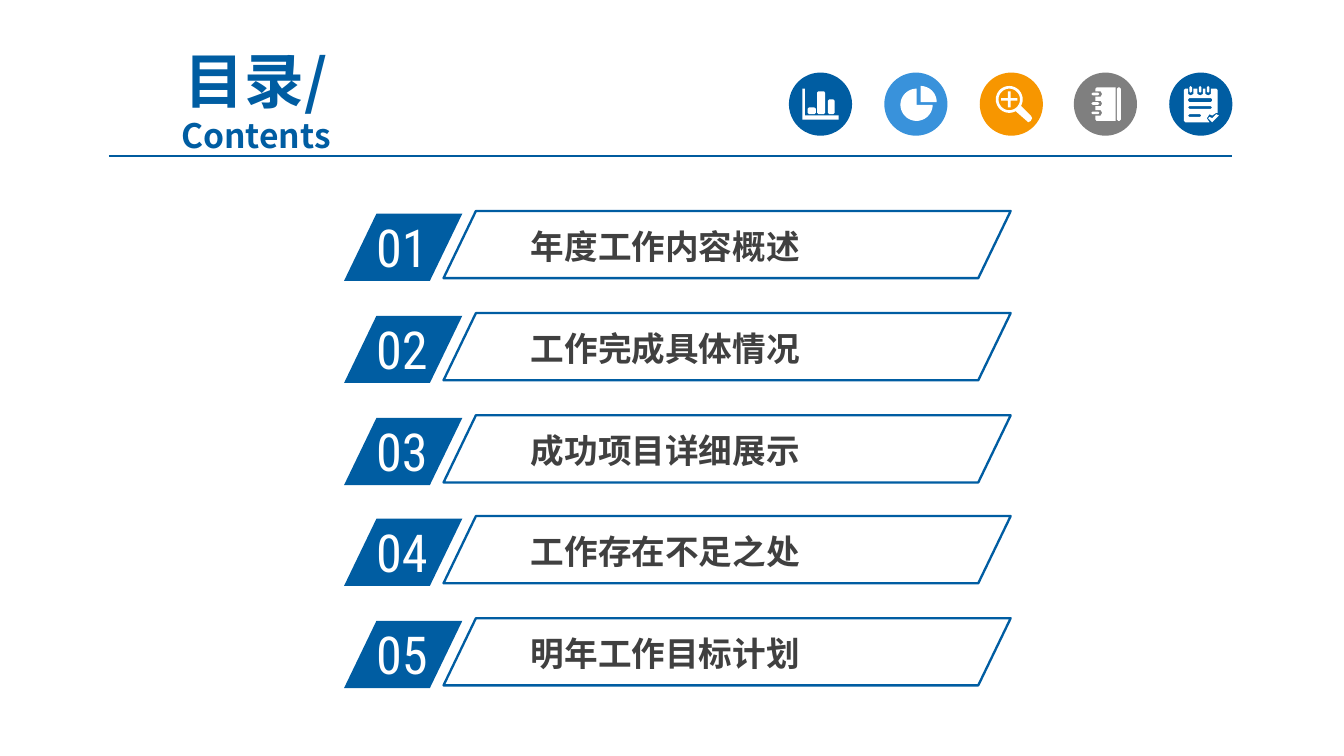
import dataclasses
import math
import typing

import pptx
import pptx.dml.color
import pptx.enum.shapes
import pptx.enum.text
import pptx.oxml.ns
import pptx.util
from lxml import etree

PX = 9144
COLORS = {
    "navy": "005DA2",
    "rule": "005B9E",
    "sky": "3992DB",
    "orange": "F79600",
    "gray": "7F7F7F",
    "ink": "404040",
    "white": "FFFFFF",
}
CJK = "Noto Sans CJK SC"
CONDENSED = "Roboto Condensed"
SHAPES = pptx.enum.shapes.MSO_SHAPE
TEXT = pptx.enum.text

Points = list[tuple[float, float]]


@dataclasses.dataclass
class Box:
    left: int
    top: int
    width: int
    height: int


@dataclasses.dataclass
class Style:
    size: int
    font: str
    color: str
    bold: bool = False


@dataclasses.dataclass
class Badge:
    color: str
    contours: list[Points]


def px(value: float) -> pptx.util.Emu:
    return pptx.util.Emu(round(value * PX))


def rgb(name: str) -> pptx.dml.color.RGBColor:
    return pptx.dml.color.RGBColor.from_string(COLORS[name])


def assign(target: typing.Any, values: dict[str, typing.Any]) -> None:
    for name, value in values.items():
        setattr(target, name, value)


def place(box: Box) -> list[pptx.util.Emu]:
    return [px(value) for value in dataclasses.astuple(box)]


def write(para: typing.Any, text: str, style: Style) -> None:
    span = para.add_run()
    span.text = text
    assign(span.font, {"name": style.font, "size": pptx.util.Pt(style.size), "bold": style.bold})
    span.font.color.rgb = rgb(style.color)
    east_asian = etree.SubElement(span.font._element, pptx.oxml.ns.qn("a:ea"))
    east_asian.set("typeface", style.font)


def add_label(page: typing.Any, box: Box, text: str, style: Style, insets: tuple[int, int]) -> None:
    frame = page.shapes.add_textbox(*place(box)).text_frame
    side, end = (px(inset) for inset in insets)
    assign(frame, {
        "word_wrap": True,
        "auto_size": TEXT.MSO_AUTO_SIZE.SHAPE_TO_FIT_TEXT,
        "margin_left": side, "margin_right": side,
        "margin_top": end, "margin_bottom": end,
    })
    write(frame.paragraphs[0], text, style)


def paint(shape: typing.Any, fill: str | None, line: str | None = None) -> None:
    shape.shadow.inherit = False
    for part, color in ((shape.fill, fill), (shape.line.fill, line)):
        if color:
            part.solid()
            part.fore_color.rgb = rgb(color)
        else:
            part.background()


def add_slant(page: typing.Any, box: Box, fill: str | None, line: str | None = None) -> None:
    slant = page.shapes.add_shape(SHAPES.PARALLELOGRAM, *place(box))
    slant.adjustments[0] = 0.482
    paint(slant, fill, line)
    if line:
        slant.line.width = pptx.util.Pt(1.25)


def bar(left: int, top: int, right: int, bottom: int) -> Points:
    return [(left + 1, top), (right - 1, top), (right, top + 1), (right, bottom - 1),
            (right - 1, bottom), (left + 1, bottom), (left, bottom - 1), (left, top + 1)]


def hole(contour: Points) -> Points:
    return contour[::-1]


def arc(x: int, y: int, radius: int, start: int = 0, sweep: int = 360) -> Points:
    angles = [math.radians(start + sweep * step / 36) for step in range(37)]
    return [(x + radius * math.cos(angle), y + radius * math.sin(angle)) for angle in angles]


def plus(x: int, y: int, reach: int) -> Points:
    return [(x - reach, y - 1), (x - 1, y - 1), (x - 1, y - reach), (x + 1, y - reach),
            (x + 1, y - 1), (x + reach, y - 1), (x + reach, y + 1), (x + 1, y + 1),
            (x + 1, y + reach), (x - 1, y + reach), (x - 1, y + 1), (x - reach, y + 1)]


def notch(at: int) -> Points:
    return [(at - 1, 0), (at - 1, 4), (at + 1, 5), (at + 3, 4), (at + 3, 0)]


def bar_chart() -> list[Points]:
    axes = [(10, 12), (12, 12), (12, 32), (37, 32), (37, 35), (10, 35)]
    return [axes, bar(14, 26, 20, 31), bar(21, 14, 27, 31), bar(29, 20, 34, 31)]


def pie_chart() -> list[Points]:
    return [[(27, 22)] + arc(27, 22, 12, -90, 90), [(24, 24)] + arc(24, 24, 12, 0, 270)]


def magnifier() -> list[Points]:
    handle = [(27, 29), (31, 25), (38, 32), (39, 34), (38, 36), (36, 37), (35, 36)]
    return [arc(22, 20, 10), hole(arc(22, 20, 8)), plus(22, 20, 6), handle]


def notebook() -> list[Points]:
    rings = [15, 22, 29]
    bites = [(16 + depth, along) for at in reversed(rings) for along, depth in hole(notch(at))]
    cover = [(17, 11), (31, 11), (31, 36), (17, 36), (16, 35)] + bites + [(16, 12)]
    return [cover, bar(32, 11, 35, 36)] + [bar(13, at, 19, at + 2) for at in rings]


def checklist() -> list[Points]:
    rings = [15, 22, 28]
    bites = [(along, 12 + depth) for at in rings for along, depth in notch(at)]
    sheet = [(11, 13), (12, 12)] + bites + [
        (35, 12), (36, 13), (36, 30), (35, 30), (32, 32), (30, 31), (28, 34), (30, 37),
        (12, 37), (11, 36)]
    rows = [bar(14, 19, 32, 22), bar(14, 25, 32, 27), bar(14, 31, 24, 33)]
    check = [(29, 34), (30, 33), (32, 34), (35, 31), (37, 32), (32, 37)]
    return [sheet, check] + [hole(row) for row in rows] + [bar(at, 10, at + 2, 15) for at in rings]


def add_badge(page: typing.Any, left: int, top: int, badge: Badge) -> None:
    disc = page.shapes.add_shape(SHAPES.OVAL, *place(Box(left, top, 47, 47)))
    paint(disc, badge.color)
    outlines = [[(px(left + x), px(top + y)) for x, y in contour] for contour in badge.contours]
    builder = page.shapes.build_freeform(*outlines[0][0])
    for index, outline in enumerate(outlines):
        if index:
            builder.move_to(*outline[0])
        builder.add_line_segments(outline[1:], close=True)
    paint(builder.convert_to_shape(), "white")


def add_heading(page: typing.Any) -> None:
    title = page.shapes.title
    assign(title, dict(zip(("left", "top", "width", "height"), place(Box(67, 47, 247, 54)))))
    frame = title.text_frame
    assign(frame, {
        "word_wrap": True,
        "auto_size": TEXT.MSO_AUTO_SIZE.NONE,
        "vertical_anchor": TEXT.MSO_ANCHOR.MIDDLE,
    })
    frame.add_paragraph()
    for para, text, size in zip(frame.paragraphs, ("目录/", "Contents"), (32, 18)):
        assign(para, {"alignment": TEXT.PP_ALIGN.CENTER, "space_before": pptx.util.Pt(0)})
        write(para, text, Style(size, CJK, "navy", True))
    rule = page.shapes.add_connector(
        pptx.enum.shapes.MSO_CONNECTOR.STRAIGHT, px(81), px(116), px(917), px(116))
    rule.line.color.rgb = rgb("rule")
    rule.line.width = pptx.util.Pt(0.75)
    etree.SubElement(rule._element.spPr, pptx.oxml.ns.qn("a:effectLst"))


def add_chapter(page: typing.Any, top: int, number: int, name: str) -> None:
    add_slant(page, Box(256, top + 2, 88, 50), "navy")
    add_label(page, Box(270, top - 2, 84, 49), f"{number:02}", Style(28, CONDENSED, "white"), (10, 5))
    add_label(page, Box(388, top + 7, 309, 38), name, Style(18, CJK, "ink", True), (7, 4))
    add_slant(page, Box(330, top, 422, 50), None, "navy")


def main() -> None:
    deck = pptx.Presentation()
    width = px(1000)
    assign(deck, {"slide_width": width, "slide_height": width * 9 // 16})
    page = deck.slides.add_slide(deck.slide_layouts[5])
    add_heading(page)
    chapters = ["年度工作内容概述", "工作完成具体情况", "成功项目详细展示", "工作存在不足之处", "明年工作目标计划"]
    for index, name in enumerate(chapters):
        add_chapter(page, 157 + round(index * 75.8), index + 1, name)
    badges = [Badge("navy", bar_chart()), Badge("sky", pie_chart()), Badge("orange", magnifier()),
              Badge("gray", notebook()), Badge("navy", checklist())]
    for index, badge in enumerate(badges):
        add_badge(page, 587 + round(index * 70.75), 54, badge)
    deck.save("out.pptx")


if __name__ == "__main__":
    main()
